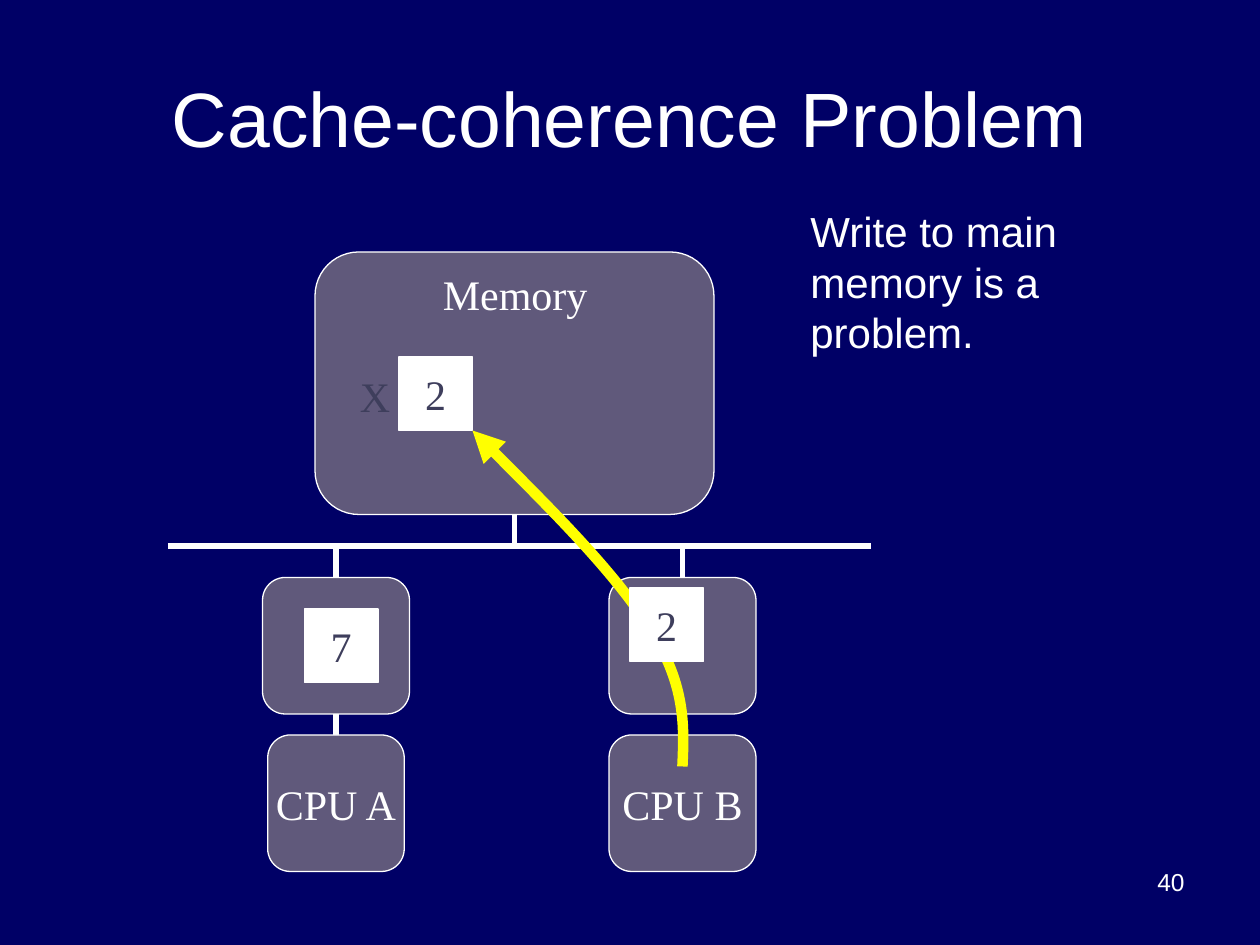
from lxml.etree import SubElement
from pptx import Presentation
from pptx.dml.color import RGBColor
from pptx.enum.shapes import MSO_CONNECTOR, MSO_SHAPE as Shape
from pptx.enum.text import MSO_ANCHOR as Anchor, PP_ALIGN as Align
from pptx.oxml.ns import qn
from pptx.util import Pt

NAVY = RGBColor(0x00, 0x00, 0x66)
WHITE = RGBColor(0xFF, 0xFF, 0xFF)
PURPLE = RGBColor(0x60, 0x59, 0x7B)
INK = RGBColor(0x3E, 0x3E, 0x5C)
YELLOW = RGBColor(0xFF, 0xFF, 0x00)
SANS, SERIF = "Arial", "Times New Roman"

BUS_Y = 312
CELL = 42


def put_text(sp, text, size, font, color, align=Align.LEFT, anchor=Anchor.TOP, wrap=True):
    tf = sp.text_frame
    tf.word_wrap = wrap
    tf.vertical_anchor = anchor
    p = tf.paragraphs[0]
    p.alignment = align
    r = p.add_run()
    r.text = text
    r.font.size = Pt(size)
    r.font.name = font
    r.font.color.rgb = color


def place(sp, x, y, w, h):
    sp.left, sp.top, sp.width, sp.height = Pt(x), Pt(y), Pt(w), Pt(h)


def add_label(s, x, y, w, h, text, size, font, color=WHITE, align=Align.LEFT, wrap=True):
    sp = s.shapes.add_textbox(Pt(x), Pt(y), Pt(w), Pt(h))
    put_text(sp, text, size, font, color, align, wrap=wrap)


def add_box(s, kind, x, y, w, h, fill, text="", color=WHITE):
    sp = s.shapes.add_shape(kind, Pt(x), Pt(y), Pt(w), Pt(h))
    sp.shadow.inherit = False
    sp.fill.solid()
    sp.fill.fore_color.rgb = fill
    sp.line.color.rgb = WHITE
    sp.line.width = Pt(0.75)
    if text:
        put_text(sp, text, 24, SERIF, color, Align.CENTER, Anchor.MIDDLE, wrap=False)
    return sp


def add_unit(s, x, y, w, h, text=""):
    return add_box(s, Shape.ROUNDED_RECTANGLE, x, y, w, h, PURPLE, text)


def add_cell(s, x, y, value):
    add_box(s, Shape.RECTANGLE, x, y, CELL, CELL, WHITE, value, INK)


def add_wire(s, x1, y1, x2, y2):
    line = s.shapes.add_connector(MSO_CONNECTOR.STRAIGHT, Pt(x1), Pt(y1), Pt(x2), Pt(y2))
    line.line.color.rgb = WHITE
    line.line.width = Pt(3)
    SubElement(line._element.spPr, qn("a:effectLst"))
    return line


def add_curved_arrow(s, points):
    """Draw a Bezier path: a start point, then three points for each segment."""
    start, *rest = [(Pt(x), Pt(y)) for x, y in points]
    builder = s.shapes.build_freeform(*start)
    builder.add_line_segments(rest, close=False)
    sp = builder.convert_to_shape()
    outline = next(sp._element.iter(qn("a:path")))
    steps = outline.findall(qn("a:lnTo"))
    for i in range(0, len(steps), 3):
        curve = SubElement(outline, qn("a:cubicBezTo"))
        for step in steps[i:i + 3]:
            curve.append(step[0])
            outline.remove(step)
    sp.shadow.inherit = False
    sp.fill.background()
    sp.line.color.rgb = YELLOW
    sp.line.width = Pt(6)
    SubElement(sp.line._get_or_add_ln(), qn("a:tailEnd"), type="triangle")


def add_title(s, text):
    title = s.shapes.title
    place(title, 36, 21.6, 648, 90)
    put_text(title, text, 44, SANS, WHITE, Align.CENTER, Anchor.MIDDLE)


def add_machine(s):
    add_wire(s, 192, BUS_Y, 192, 468)
    add_wire(s, 390, BUS_Y, 390, 462)
    memory = add_unit(s, 180, 144, 228, 150)
    add_wire(s, 96, BUS_Y, 498, BUS_Y)
    add_unit(s, 150, 330, 84, 78)
    add_unit(s, 153, 420, 78, 78, "CPU A")
    add_unit(s, 348, 330, 84, 78)
    add_unit(s, 348, 420, 84, 78, "CPU B")
    add_wire(s, 294, BUS_Y, 294, 294).end_connect(memory, 2)
    add_label(s, 246, 150, 97, 36, "Memory", 24, SERIF, wrap=False)
    add_label(s, 198.5, 208, 32, 36, "X", 24, SERIF, INK, wrap=False)


def add_write(s):
    add_cell(s, 228, 204, "2")
    add_cell(s, 174, 348, "7")
    add_curved_arrow(s, [(390, 438), (391, 415), (392, 392), (372, 360),
                         (352, 328), (311, 287), (270, 246)])
    add_cell(s, 360, 336, "2")


def main():
    prs = Presentation()
    prs.slide_width, prs.slide_height = Pt(720), Pt(540)
    s = prs.slides.add_slide(prs.slide_layouts[5])
    s.background.fill.solid()
    s.background.fill.fore_color.rgb = NAVY
    add_title(s, "Cache-coherence Problem")
    add_machine(s)
    add_write(s)
    add_label(s, 456, 114, 234, 94, "Write to main memory is a problem.", 24, SANS)
    add_label(s, 516, 492, 168, 37.5, "40", 14, SANS, align=Align.RIGHT)
    prs.save("out.pptx")


if __name__ == "__main__":
    main()
